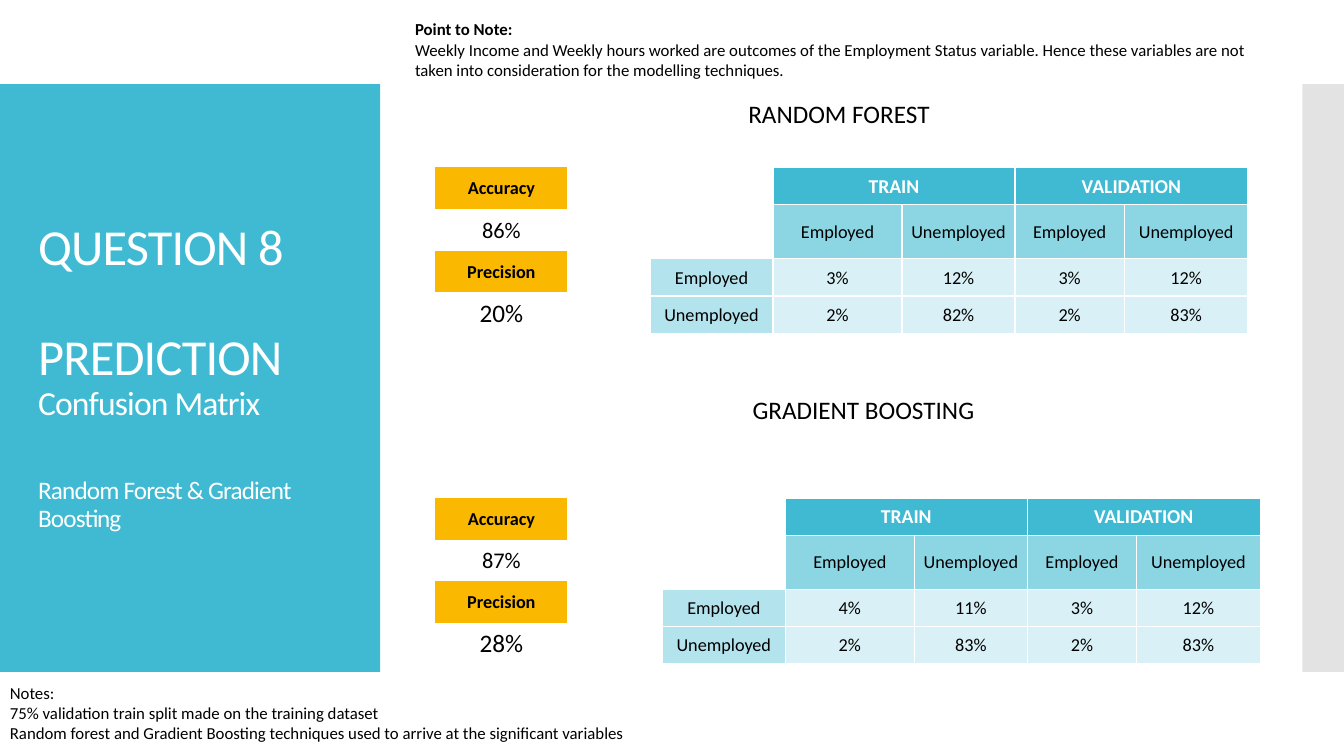
from lxml.etree import SubElement
from pptx import Presentation
from pptx.dml.color import RGBColor
from pptx.enum.shapes import MSO_SHAPE
from pptx.enum.text import MSO_ANCHOR, PP_ALIGN
from pptx.oxml.ns import qn
from pptx.util import Cm, Pt

TEAL, MID_TEAL, SOFT_TEAL, PALE_TEAL = "40BAD2", "8CD6E4", "B3E3ED", "D9F1F6"
AMBER, GREY, WHITE, BLACK = "FAB900", "C8C8C8", "FFFFFF", "000000"
PLAIN_TABLE_STYLE = "{2D5ABB26-0587-4C30-8999-92F81FD0307C}"
MATRIX_COLUMNS = [3.1, 3.25, 2.85, 2.75, 3.12]
MATRIX_ROWS = [0.94, 1.36, 0.94, 0.94]
SCORE_LEFT, SCORE_WIDTH, SCORE_ROW = 10.97, 3.33, 1.05


def color(hex_value):
    return RGBColor.from_string(hex_value)


def set_all(target, values):
    for name, value in values.items():
        setattr(target, name, value)


def add_run(paragraph, text, size, ink=BLACK, bold=False):
    run = paragraph.add_run()
    run.text = text
    set_all(run.font, {"name": "Calibri", "size": Pt(size), "bold": bold})
    run.font.color.rgb = color(ink)
    return run


def add_panel(slide, left, width, fill, opacity=100):
    panel = slide.shapes.add_shape(
        MSO_SHAPE.RECTANGLE, Cm(left), Cm(2.12), Cm(width), Cm(14.81))
    panel.shadow.inherit = False
    panel.line.fill.background()
    panel.fill.solid()
    panel.fill.fore_color.rgb = color(fill)
    if opacity < 100:
        rgb = panel.fill._xPr.find(".//" + qn("a:srgbClr"))
        SubElement(rgb, qn("a:alpha"), val=str(opacity * 1000))


def add_text(slide, box, lines, align=PP_ALIGN.LEFT, wrap=True):
    """Each line is (text, size, bold)."""
    frame = slide.shapes.add_textbox(*map(Cm, box)).text_frame
    frame.word_wrap = wrap
    for index, (text, size, bold) in enumerate(lines):
        paragraph = frame.add_paragraph() if index else frame.paragraphs[0]
        paragraph.alignment = align
        add_run(paragraph, text, size, bold=bold)


def add_title(slide):
    frame = slide.shapes.add_textbox(Cm(0.71), Cm(3.12), Cm(8.18), Cm(12.78)).text_frame
    set_all(frame, {"word_wrap": True, "vertical_anchor": MSO_ANCHOR.MIDDLE})
    lines = [("QUESTION 8", 36, 0), ("PREDICTION", 36, 39.5),
             ("Confusion Matrix", 24, 0), ("Random Forest & Gradient Boosting", 18, 39.5)]
    for index, (text, size, gap) in enumerate(lines):
        paragraph = frame.add_paragraph() if index else frame.paragraphs[0]
        set_all(paragraph, {"line_spacing": 0.9, "space_before": Pt(gap)})
        run = add_run(paragraph, text, size, WHITE)
        run.font._element.set("spc", "-60")


def add_grid(slide, left, top, columns, rows):
    grid = slide.shapes.add_table(
        len(rows), len(columns), Cm(left), Cm(top), Cm(sum(columns)), Cm(sum(rows))).table
    set_all(grid, {"first_row": False, "horz_banding": False})
    grid._tbl.tblPr.find(qn("a:tableStyleId")).text = PLAIN_TABLE_STYLE
    for column, width in zip(grid.columns, columns):
        column.width = Cm(width)
    for row, height in zip(grid.rows, rows):
        row.height = Cm(height)
    return grid


def add_borders(cell):
    properties = cell._tc.get_or_add_tcPr()
    for side in ("a:lnL", "a:lnR", "a:lnT", "a:lnB"):
        line = SubElement(properties, qn(side), w=str(Pt(1)))
        SubElement(SubElement(line, qn("a:solidFill")), qn("a:srgbClr"), val=WHITE)


def fill_cell(cell, text, size, fill=None, ink=BLACK, bold=False):
    set_all(cell, {"margin_left": Cm(0.02), "margin_right": Cm(0.02),
                   "margin_top": Cm(0.02), "margin_bottom": 0,
                   "vertical_anchor": MSO_ANCHOR.MIDDLE})
    if fill:
        cell.fill.solid()
        cell.fill.fore_color.rgb = color(fill)
    else:
        cell.fill.background()
    if text:
        paragraph = cell.text_frame.paragraphs[0]
        paragraph.alignment = PP_ALIGN.CENTER
        add_run(paragraph, text, size, ink, bold)


def add_confusion_matrix(slide, left, top, employed, unemployed):
    grid = add_grid(slide, left, top, MATRIX_COLUMNS, MATRIX_ROWS)
    classes = ["Employed", "Unemployed"]
    content = [["", "TRAIN", "", "VALIDATION", ""], ["", *classes, *classes],
               [classes[0], *employed], [classes[1], *unemployed]]
    # Fill of the first column, then of the other columns, for each row
    fills = [(WHITE, TEAL), (WHITE, MID_TEAL), (SOFT_TEAL, PALE_TEAL), (SOFT_TEAL, PALE_TEAL)]
    for r, texts in enumerate(content):
        size, ink, bold = (13, BLACK, False) if r else (14, WHITE, True)
        for c, text in enumerate(texts):
            cell = grid.cell(r, c)
            add_borders(cell)
            fill_cell(cell, text, size, fills[r][c > 0], ink, bold)
    for first in (1, 3):
        grid.cell(0, first).merge(grid.cell(0, first + 1))


def add_scores(slide, top, accuracy, precision):
    grid = add_grid(slide, SCORE_LEFT, top, [SCORE_WIDTH], [SCORE_ROW] * 4)
    scores = [("Accuracy", accuracy, 16), ("Precision", precision, 18)]
    for index, (label, value, size) in enumerate(scores):
        fill_cell(grid.cell(2 * index, 0), label, 13, AMBER, bold=True)
        fill_cell(grid.cell(2 * index + 1, 0), value, size)


def main():
    deck = Presentation()
    set_all(deck, {"slide_width": Cm(33.87), "slide_height": Cm(19.05)})
    slide = deck.slides.add_slide(deck.slide_layouts[6])

    # Side panels and title
    add_panel(slide, 0, 9.58, TEAL)
    add_panel(slide, 32.82, 1.05, GREY, opacity=50)
    add_title(slide)

    # Random forest
    add_text(slide, (18.39, 2.36, 5.51, 1.02), [("RANDOM FOREST", 18, False)], PP_ALIGN.CENTER)
    add_confusion_matrix(slide, 16.38, 4.22,
                         ["3%", "12%", "3%", "12%"], ["2%", "82%", "2%", "83%"])
    add_scores(slide, 4.22, "86%", "20%")

    # Gradient boosting
    add_text(slide, (18.24, 9.8, 7.04, 1.02), [("GRADIENT BOOSTING", 18, False)], PP_ALIGN.CENTER)
    add_confusion_matrix(slide, 16.69, 12.55,
                         ["4%", "11%", "3%", "12%"], ["2%", "83%", "2%", "83%"])
    add_scores(slide, 12.55, "87%", "28%")

    # Remarks above and below
    add_text(slide, (10.21, 0.36, 21.67, 1.8), [
        ("Point to Note:", 12, True),
        ("Weekly Income and Weekly hours worked are outcomes of the Employment Status variable. "
         "Hence these variables are not taken into consideration for the modelling techniques.",
         12, False)])
    add_text(slide, (0, 17.07, 16.33, 2.31), [
        ("Notes:", 12, False),
        ("75% validation train split made on the training dataset", 12, False),
        ("Random forest and Gradient Boosting techniques used to arrive at the significant variables",
         12, False)], wrap=False)

    deck.save("out.pptx")


if __name__ == "__main__":
    main()
